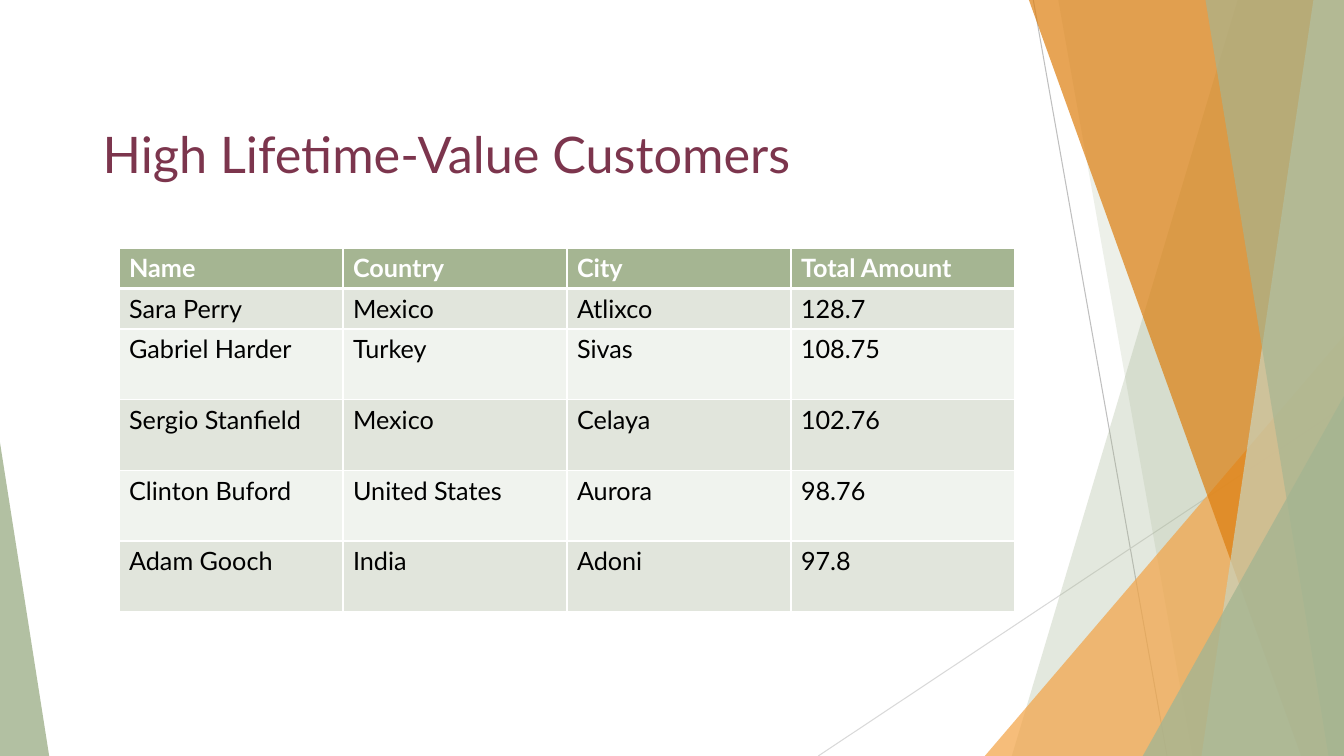
from dataclasses import dataclass

from lxml.etree import SubElement
from pptx import Presentation
from pptx.dml.color import RGBColor
from pptx.enum.shapes import MSO_CONNECTOR, MSO_SHAPE
from pptx.enum.text import MSO_ANCHOR
from pptx.oxml.ns import qn
from pptx.util import Cm, Pt


@dataclass(frozen=True)
class Theme:
    font: str = "Lato"
    title_size: int = 36
    cell_size: int = 18
    plum: str = "7C354D"
    sage: str = "A5B592"
    pale_sage: str = "C9D3BE"
    orange: str = "F3A447"
    dark_orange: str = "DD7E0E"
    row_fills: tuple = ("E1E5DC", "F0F3EE")
    white: str = "FFFFFF"
    black: str = "000000"
    dark_rule: str = "BFBFBF"
    light_rule: str = "D9D9D9"


THEME = Theme()
WIDTH, HEIGHT = 33.87, 19.05  # slide size in centimetres

CUSTOMERS = [
    ("Name", "Country", "City", "Total Amount"),
    ("Sara Perry", "Mexico", "Atlixco", "128.7"),
    ("Gabriel Harder", "Turkey", "Sivas", "108.75"),
    ("Sergio Stanfield", "Mexico", "Celaya", "102.76"),
    ("Clinton Buford", "United States", "Aurora", "98.76"),
    ("Adam Gooch", "India", "Adoni", "97.8"),
]
ROW_HEIGHTS = [1.02, 1.02, 1.78, 1.78, 1.78, 1.78]


def color(value):
    return RGBColor.from_string(value)


def write(frame, text, size, text_color, bold=False):
    span = frame.paragraphs[0].add_run()
    span.text = text
    span.font.color.rgb = color(text_color)
    values = {"name": THEME.font, "size": Pt(size), "bold": bold}
    for name, value in values.items():
        setattr(span.font, name, value)


# Background decoration
def add_rule(slide, start, end, rule_color):
    rule = slide.shapes.add_connector(
        MSO_CONNECTOR.STRAIGHT, *(Cm(value) for value in start + end))
    rule.line.color.rgb = color(rule_color)
    rule.line.width = Pt(0.75)
    SubElement(rule.element.spPr, qn("a:effectLst"))


def paint(shape, fill_color, opacity):
    shape.shadow.inherit = False
    shape.fill.solid()
    shape.fill.fore_color.rgb = color(fill_color)
    shape.line.fill.background()
    tint = shape.element.spPr.find(".//" + qn("a:srgbClr"))
    SubElement(tint, qn("a:alpha"), val=str(opacity * 1000))


def add_band(slide, top_x, bottom_x, fill_color, opacity):
    """Full-height band from a slanted left edge to the slide's right edge."""
    corners = [(WIDTH, 0), (WIDTH, HEIGHT), (bottom_x, HEIGHT)]
    builder = slide.shapes.build_freeform(Cm(top_x), 0)
    builder.add_line_segments([(Cm(x), Cm(y)) for x, y in corners], close=True)
    paint(builder.convert_to_shape(), fill_color, opacity)


def add_corner(slide, left, top, width, peak, fill_color, opacity):
    """Triangle standing on the slide's bottom edge."""
    corner = slide.shapes.add_shape(
        MSO_SHAPE.ISOSCELES_TRIANGLE,
        Cm(left), Cm(top), Cm(width), Cm(HEIGHT - top))
    corner.adjustments[0] = peak
    paint(corner, fill_color, opacity)


def add_decoration(slide):
    add_rule(slide, (26.04, 0), (29.41, HEIGHT), THEME.dark_rule)
    add_rule(slide, (WIDTH, 10.24), (20.62, HEIGHT), THEME.light_rule)
    add_band(slide, 31.19, 25.5, THEME.sage, 30)
    add_band(slide, 26.67, 30.05, THEME.sage, 20)
    add_corner(slide, 24.82, 8.46, WIDTH - 24.82, 1, THEME.orange, 72)
    add_band(slide, 25.93, 32.79, THEME.dark_orange, 70)
    add_band(slide, 33.1, 30.28, THEME.pale_sage, 70)
    add_band(slide, 30.38, 33.48, THEME.sage, 65)
    add_corner(slide, 28.8, 9.98, WIDTH - 28.8, 1, THEME.sage, 80)
    add_corner(slide, 0, 11.15, 1.24, 0, THEME.sage, 85)


# Title
def add_title(slide, text):
    box = slide.shapes.add_textbox(Cm(2.34), Cm(2.97), Cm(23.88), Cm(3.66))
    values = {"word_wrap": True, "vertical_anchor": MSO_ANCHOR.TOP}
    for name, value in values.items():
        setattr(box.text_frame, name, value)
    write(box.text_frame, text, THEME.title_size, THEME.plum)


# Customer table
def add_borders(cell, widths):
    properties = cell._tc.get_or_add_tcPr()
    for side, width in widths.items():
        line = SubElement(properties, qn("a:ln" + side), w=str(Pt(width)))
        fill = SubElement(line, qn("a:solidFill"))
        SubElement(fill, qn("a:srgbClr"), val=THEME.white)


def add_customer_table(slide):
    frame = slide.shapes.add_table(
        len(CUSTOMERS), len(CUSTOMERS[0]),
        Cm(3), Cm(6.25), Cm(22.58), Cm(sum(ROW_HEIGHTS)))
    table = frame.table
    for row, height in zip(table.rows, ROW_HEIGHTS):
        row.height = Cm(height)
    for row_index, customer in enumerate(CUSTOMERS):
        header = row_index == 0
        fill_color = THEME.sage if header else THEME.row_fills[(row_index - 1) % 2]
        text_color = THEME.white if header else THEME.black
        widths = {"L": 1, "R": 1, "T": 3 if row_index == 1 else 1,
                  "B": 3 if header else 1}
        for column_index, text in enumerate(customer):
            cell = table.cell(row_index, column_index)
            add_borders(cell, widths)
            cell.fill.solid()
            cell.fill.fore_color.rgb = color(fill_color)
            write(cell.text_frame, text, THEME.cell_size, text_color, header)


def main():
    deck = Presentation()
    deck.slide_width, deck.slide_height = Cm(WIDTH), Cm(HEIGHT)
    slide = deck.slides.add_slide(deck.slide_layouts[6])
    add_decoration(slide)
    add_title(slide, "High Lifetime-Value Customers")
    add_customer_table(slide)
    deck.save("out.pptx")


if __name__ == "__main__":
    main()
